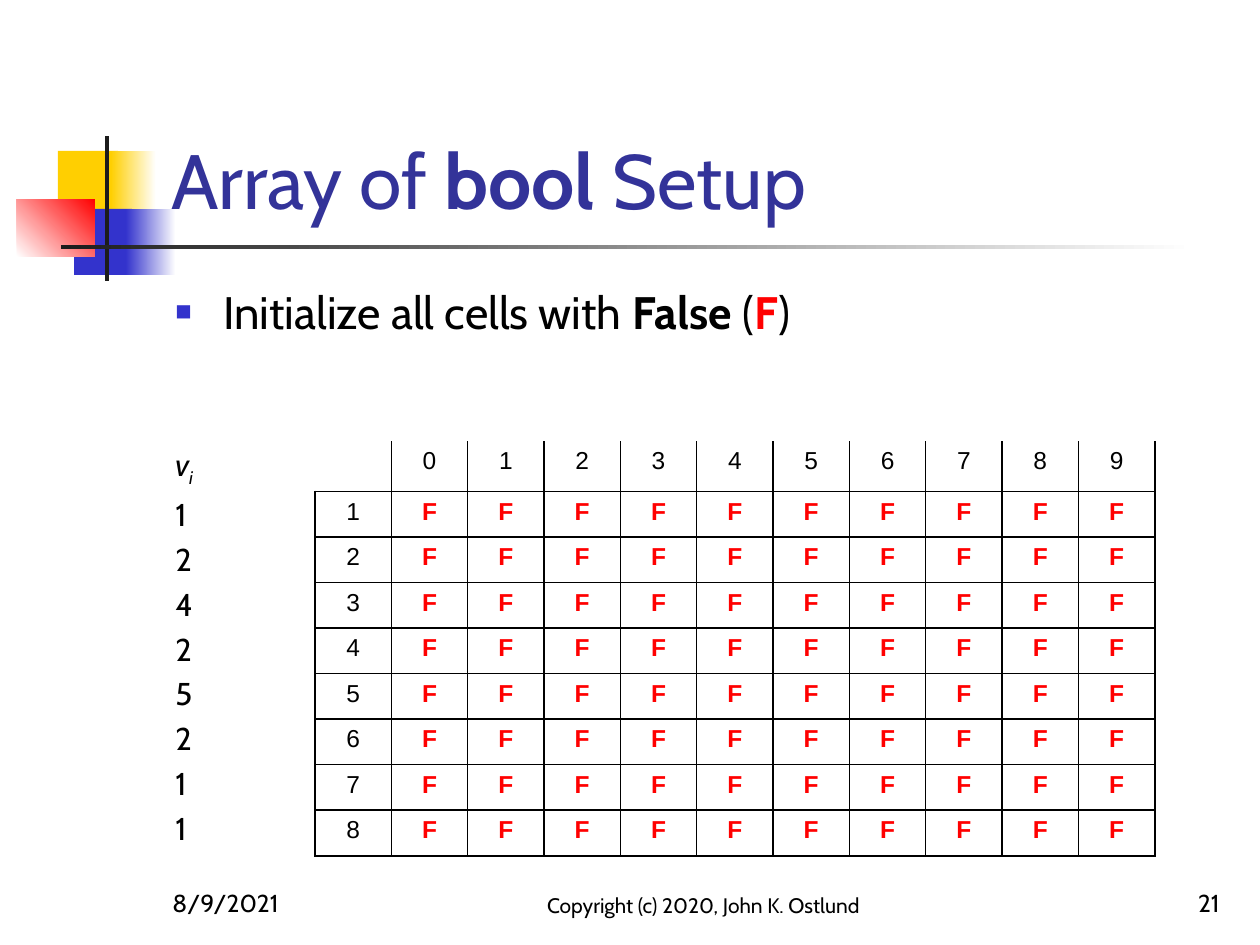
from lxml import etree
from pptx import Presentation
from pptx import util as u
from pptx.dml.color import RGBColor
from pptx.enum import shapes, text
from pptx.oxml import ns

PX = 914400 / 126
BLACK, BLUE, RED, INK, WHITE = "000000", "3333CC", "FF0000", "1C1C1C", "FFFFFF"
YELLOW, TITLE_BLUE = "FFCF01", "333399"


def px(length):
    return u.Emu(round(length * PX))


def rgb(value):
    return RGBColor.from_string(value)


def add_child(parent, tag, **attributes):
    child = etree.SubElement(parent, ns.qn(tag))
    for key, value in attributes.items():
        child.set(key, str(value))
    return child


def write(paragraph, words, size=14, font="Cabin", color=BLACK,
          bold=False, italic=False, baseline=0):
    run = paragraph.add_run()
    run.text = words
    run.font.size = u.Pt(size)
    run.font.name = font
    run.font.bold = bold
    run.font.italic = italic
    run.font.color.rgb = rgb(color)
    if baseline:
        run._r.get_or_add_rPr().set("baseline", str(baseline * 1000))


def add_frame(slide, box, anchor=text.MSO_ANCHOR.TOP):
    frame = slide.shapes.add_textbox(*map(px, box)).text_frame
    frame.word_wrap = True
    frame.vertical_anchor = anchor
    return frame


def add_block(slide, box, start, end=None, angle=0):
    block = slide.shapes.add_shape(shapes.MSO_SHAPE.RECTANGLE, *map(px, box))
    block.shadow.inherit = False
    block.line.fill.background()
    if end is None:
        block.fill.solid()
        block.fill.fore_color.rgb = rgb(start)
        return
    block.fill.gradient()
    block.fill.gradient_angle = angle
    for stop, color in zip(block.fill.gradient_stops, (start, end)):
        stop.color.rgb = rgb(color)


def add_ornament(slide, box):
    left, top, width, height = box
    add_block(slide, (left + 41, top + 15, 60, 66), YELLOW)
    add_block(slide, (left + 94, top + 15, 45, 66), YELLOW, WHITE)
    add_block(slide, (left + 57, top + 73, 58, 66), BLUE)
    add_block(slide, (left + 109, top + 73, 50, 66), BLUE, WHITE)
    add_block(slide, (left, top + 63, 78, 58), WHITE, RED, 45)
    add_block(slide, (left + 88, top, 4, height), INK)
    add_block(slide, (left + 44, top + 109, width - 44, 4), INK, WHITE)


def add_title(slide, box):
    title = add_frame(slide, box, text.MSO_ANCHOR.BOTTOM).paragraphs[0]
    for words, bold in (("Array of ", False), ("bool", True), (" Setup", False)):
        write(title, words, size=44, color=TITLE_BLUE, bold=bold)


def add_instruction(slide, box):
    instruction = add_frame(slide, box).paragraphs[0]
    properties = instruction._p.get_or_add_pPr()
    properties.set("marL", str(px(48)))
    properties.set("indent", str(-px(48)))
    add_child(add_child(properties, "a:buClr"), "a:srgbClr", val=BLUE)
    add_child(properties, "a:buSzPct", val=60000)
    add_child(properties, "a:buFont", typeface="Arial")
    add_child(properties, "a:buChar", char="■")
    write(instruction, "Initialize all cells with ", size=26)
    write(instruction, "False", size=26, bold=True)
    write(instruction, " (", size=26)
    write(instruction, "F", size=26, color=RED, bold=True)
    write(instruction, ")", size=26)


def add_values(slide, box):
    frame = add_frame(slide, box)
    heading = frame.paragraphs[0]
    heading.space_after = u.Pt(4)
    write(heading, "v", size=18, italic=True)
    write(heading, "i", size=18, italic=True, baseline=-25)
    for value in "12425211":
        line = frame.add_paragraph()
        line.space_after = u.Pt(4)
        write(line, value, size=18)


def set_borders(cell, visible):
    properties = cell._tc.get_or_add_tcPr()
    for side in "LRTB":
        border = add_child(properties, "a:ln" + side, w=u.Pt(1))
        if side in visible:
            add_child(add_child(border, "a:solidFill"), "a:srgbClr", val=BLACK)
        else:
            add_child(border, "a:noFill")


def add_grid(slide, box, rows=9, columns=11):
    grid = slide.shapes.add_table(rows, columns, *map(px, box)).table
    grid.first_row = grid.horz_banding = False
    for row in range(rows):
        for column in range(columns):
            cell = grid.cell(row, column)
            if row == 0:
                set_borders(cell, "LRB" if column else "RB")
            else:
                set_borders(cell, "LRTB")
            cell.fill.background()
            paragraph = cell.text_frame.paragraphs[0]
            paragraph.alignment = text.PP_ALIGN.CENTER
            if row and column:
                write(paragraph, "F", font="Arial", color=RED, bold=True)
            elif row or column:
                label = row if row else column - 1
                write(paragraph, str(label), font="Arial")


def add_footer(slide, box):
    left, top, width, height = box
    align = text.PP_ALIGN
    parts = (
        ("8/9/2021", 0, 262, 14, align.LEFT),
        ("Copyright (c) 2020, John K. Ostlund", 344, 399, 12, align.CENTER),
        ("21", width - 262, 262, 14, align.RIGHT),
    )
    for words, offset, part_width, size, alignment in parts:
        part_box = (left + offset, top, part_width, height)
        part = add_frame(slide, part_box, text.MSO_ANCHOR.BOTTOM).paragraphs[0]
        part.alignment = alignment
        write(part, words, size=size)


def main():
    deck = Presentation()
    deck.slide_width, deck.slide_height = px(1260), px(945)
    slide = deck.slides.add_slide(deck.slide_layouts[6])
    add_ornament(slide, (17, 136, 1177, 145))
    add_title(slide, (159, 29, 1074, 202))
    add_instruction(slide, (163, 278, 1071, 70))
    add_values(slide, (163, 439, 100, 420))
    add_footer(slide, (160, 861, 1072, 63))
    add_grid(slide, (315, 441, 840, 410))
    deck.save("out.pptx")


if __name__ == "__main__":
    main()
